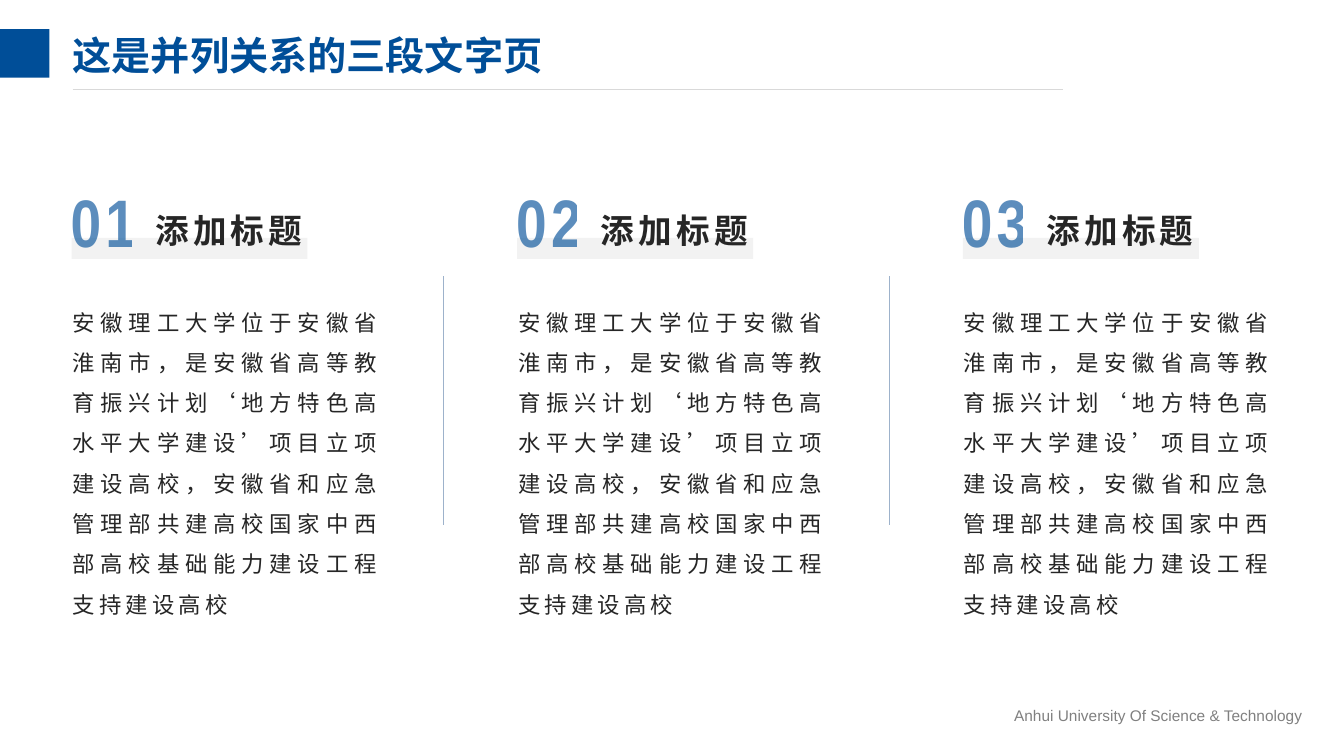
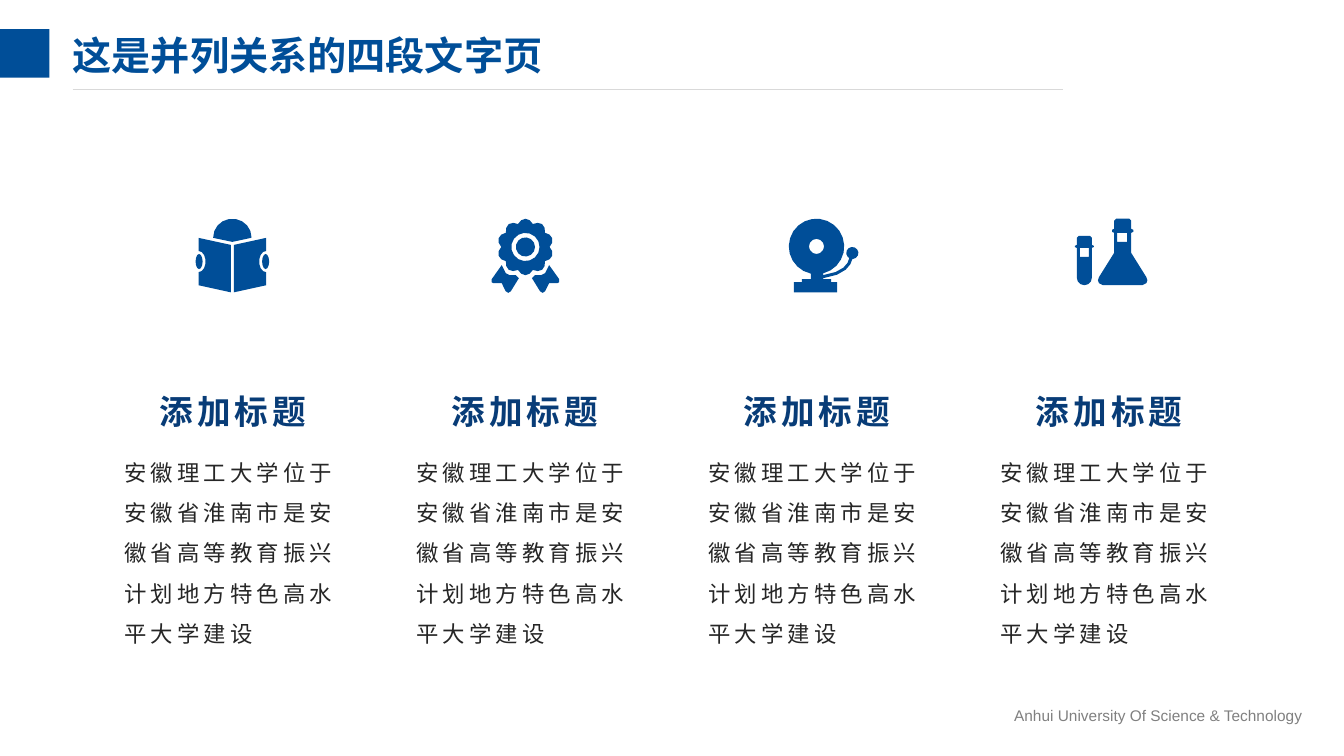
import math

import pptx
import pptx.dml.color
import pptx.enum.shapes
import pptx.enum.text
import pptx.oxml.ns
import pptx.util
from lxml import etree

Inches = pptx.util.Inches
PP = pptx.enum.text.PP_ALIGN
FIT = pptx.enum.text.MSO_AUTO_SIZE

BLUE, NAVY, INK, GREY = "004E98", "083C77", "262626", "808080"
RULE, DIVIDER, BAR = "D9D9D9", "9DB2CB", "F2F2F2"
CJK = "Noto Sans CJK SC"

# Text styles: font values, then letter spacing and opacity where used
TITLE = dict(name="Montserrat", size=28, bold=True, color=BLUE)
FOOTER = dict(name="Arial", size=11, color=GREY)
NUMBER = dict(name="Arial Narrow", size=48, bold=True, color=BLUE, spc=300, alpha=64)
HEADING = dict(name=CJK, size=24, bold=True, color=INK, spc=300)
BODY = dict(name=CJK, size=16, color=INK, spc=300)

HEADING_TEXT = "添加标题"
LONG_TEXT = ("安徽理工大学位于安徽省淮南市，是安徽省高等教育振兴计划‘地方特色高水平大学建设’"
             "项目立项建设高校，安徽省和应急管理部共建高校国家中西部高校基础能力建设工程支持建设高校")
SHORT_TEXT = "安徽理工大学位于安徽省淮南市是安徽省高等教育振兴计划地方特色高水平大学建设"


def rgb(value):
    return pptx.dml.color.RGBColor.from_string(value)


def box(x, y, w, h):
    return [Inches(v) for v in (x, y, w, h)]


def sub(parent, tag, **attrs):
    return etree.SubElement(parent, pptx.oxml.ns.qn(tag), **attrs)


def write(tf, text, style, **para):
    """Put one styled paragraph into a text frame."""
    p = tf.paragraphs[0]
    for name, value in para.items():
        setattr(p, name, value)
    r = p.add_run()
    r.text = text
    r.font.color.rgb = rgb(style["color"])
    for name in ("name", "bold"):
        setattr(r.font, name, style.get(name))
    r.font.size = pptx.util.Pt(style["size"])
    rpr = r._r.get_or_add_rPr()
    rpr.set("lang", "zh-CN")
    sub(rpr, "a:ea", typeface=CJK)
    if "spc" in style:
        rpr.set("spc", str(style["spc"]))
    if "alpha" in style:
        clr = rpr.find(".//" + pptx.oxml.ns.qn("a:srgbClr"))
        sub(clr, "a:alpha", val=str(style["alpha"] * 1000))


def no_insets(tf):
    for side in ("left", "top", "right", "bottom"):
        setattr(tf, "margin_" + side, 0)


def add_text(s, at, text, style, wrap=True, insets=False, **para):
    tf = s.shapes.add_textbox(*box(*at)).text_frame
    tf.word_wrap = wrap
    tf.auto_size = FIT.SHAPE_TO_FIT_TEXT
    if not insets:
        no_insets(tf)
    write(tf, text, style, **para)


def paint(sp, color):
    sp.shadow.inherit = False
    sp.fill.solid()
    sp.fill.fore_color.rgb = rgb(color)
    sp.line.fill.background()


def add_rect(s, at, color):
    paint(s.shapes.add_shape(pptx.enum.shapes.MSO_SHAPE.RECTANGLE, *box(*at)), color)


def add_line(s, x1, y1, x2, y2, color):
    line = s.shapes.add_connector(pptx.enum.shapes.MSO_CONNECTOR.STRAIGHT,
                                  *box(x1, y1, x2, y2))
    line.line.color.rgb = rgb(color)
    line.line.width = pptx.util.Pt(0.5)
    sub(line._element.spPr, "a:effectLst")


# Outlines, in hundredths of an inch from the top left of an icon
def arc(cx, cy, rx, ry, start=0, sweep=360):
    """Points along an arc: the larger it is, the more points."""
    n = math.ceil((8 + max(rx, ry) / 2) * abs(sweep) / 360)
    angles = [math.radians(start + sweep * i / n) for i in range(n + 1)]
    points = [(cx + rx * math.cos(a), cy + ry * math.sin(a)) for a in angles]
    return points[:-1] if abs(sweep) == 360 else points


def curve(*ctrl):
    n = 4
    weights = [((1 - t) ** 3, 3 * t * (1 - t) ** 2, 3 * t * t * (1 - t), t ** 3)
               for t in (i / n for i in range(n + 1))]
    return [tuple(sum(w * c[k] for w, c in zip(ws, ctrl)) for k in (0, 1))
            for ws in weights]


def window(x, y, w, h):
    return [(x, y), (x + w, y), (x + w, y + h), (x, y + h)]


def mirror(outline, width):
    return [(width - x, y) for x, y in outline]


def reader():
    head = arc(36.5, 18.5, 19, 18.5, 180, 180) + [(55, 19), (36.5, 23), (17.5, 19)]
    page = [(3, 19), (35, 26), (35, 73), (3, 66)] + arc(3, 42.5, 7, 10.5, 90, -180)
    hand = arc(3.5, 42.5, 3.5, 7.5)
    return [head, page, mirror(page, 73), hand, mirror(hand, 73)]


def medal():
    rosette = []
    for i in range(40):
        a = math.tau * i / 40
        radius = 24 + 4 * abs(math.cos(5 * (a + math.pi / 2)))
        rosette.append((33.5 + radius * math.cos(a), 28 + radius * math.sin(a)))
    ribbon = [(10, 46), (14, 54), (18, 56), (24, 56), (27, 59), (19, 72),
              (16.5, 73.5), (14, 72), (10, 64), (2, 64), (0, 63), (0, 60)]
    return [rosette, arc(33.5, 28, 14, 14), arc(33.5, 28, 9.5, 9.5),
            ribbon, mirror(ribbon, 67)]


def bell():
    gong = arc(27.5, 27.5, 27.5, 27.5, 76, -334)
    base = [(22, 60), (13, 60), (13, 63), (5, 63), (5, 73), (48, 73), (48, 63),
            (42, 63), (42, 60), (34, 60)]
    hammer = (curve((34, 59), (56, 56), (62, 46), (63, 40))
              + arc(63, 34, 6, 6, 85, -335)
              + curve((60, 39), (59, 45), (54, 53), (34, 56)))
    return [gong + base + hammer, arc(27.5, 27.5, 7.5, 7.5)]


def lab():
    flask = [(56, 34), (71, 58), (72, 61), (71, 64), (67, 66), (28, 66),
             (24, 64), (23, 61), (24, 58), (39, 34), (39, 14), (37, 13),
             (37, 11), (39, 10), (39, 2), (41, 0), (54, 0), (56, 2), (56, 10),
             (58, 11), (58, 13), (56, 14)]
    tube = ([(17, 26), (17, 19), (15, 17), (4, 17), (2, 19), (2, 26), (0, 27),
             (0, 28), (2, 29)] + arc(9.5, 58.5, 7.5, 7.5, 180, -180)
            + [(17, 29), (19, 28), (19, 27)])
    return [flask, window(42, 14, 10, 9), tube, window(5, 29, 9, 9)]


def add_icon(s, x, y, outlines):
    """Draw all outlines as one filled shape; inner ones become holes."""
    fine = [[(px * 10, py * 10) for px, py in o] for o in outlines]
    fb = s.shapes.build_freeform(*fine[0][0], scale=Inches(1) / 1000)
    for i, outline in enumerate(fine):
        if i:
            fb.move_to(*outline[0])
        fb.add_line_segments(outline[1:], close=True)
    paint(fb.convert_to_shape(Inches(x), Inches(y)), BLUE)


def titled_slide(prs, title):
    """Title-only slide with the shared band, rule and footer."""
    s = prs.slides.add_slide(prs.slide_layouts[5])
    add_text(s, (9.96, 6.96, 3.14, 0.29), "Anhui University Of Science & Technology",
             FOOTER, wrap=False, insets=True)
    add_rect(s, (-0.02, 0.29, 0.51, 0.48), BLUE)
    add_line(s, 0.72, 0.89, 10.54, 0.89, RULE)
    sp = s.shapes.title
    sp.left, sp.top, sp.width, sp.height = box(0.72, 0.21, 9.51, 0.73)
    tf = sp.text_frame
    no_insets(tf)
    tf.word_wrap = True
    tf.auto_size = FIT.NONE
    tf.vertical_anchor = pptx.enum.text.MSO_ANCHOR.MIDDLE
    write(tf, title, TITLE, alignment=PP.LEFT, line_spacing=0.9)
    return s


def numbered_column(s, x, y, number):
    """Number and heading on a bar, with justified text below."""
    add_text(s, (x, y + 1.14, 3.06, 3.19), LONG_TEXT, BODY,
             alignment=PP.JUSTIFY, line_spacing=1.5)
    add_rect(s, (x - 0.01, y + 0.57, 2.34, 0.21), BAR)
    add_text(s, (x - 0.02, y, 0.78, 0.81), f"{number:02}", NUMBER, wrap=False)
    add_text(s, (x + 0.82, y + 0.29, 1.51, 0.4), HEADING_TEXT, HEADING, wrap=False)


def icon_column(s, x, y, icon, indent):
    """Icon, heading and text from top to bottom."""
    add_icon(s, x + indent, y, icon())
    add_text(s, (x + 0.35, y + 1.71, 1.51, 0.4), HEADING_TEXT, {**HEADING, "color": NAVY})
    add_text(s, (x, y + 2.25, 2.18, 1.97), SHORT_TEXT, BODY, line_spacing=1.5)


def three_texts(prs):
    s = titled_slide(prs, "这是并列关系的三段文字页")
    left, top, pitch, count = 0.72, 1.79, 4.42, 3
    for i in range(count):
        x = left + i * pitch
        numbered_column(s, x, top, i + 1)
        if i < count - 1:
            add_line(s, x + 3.68, top + 0.95, x + 3.68, top + 3.42, DIVIDER)


def four_texts(prs):
    s = titled_slide(prs, "这是并列关系的四段文字页")
    icons = [(reader, 0.71), (medal, 0.75), (bell, 0.8), (lab, 0.74)]
    left, last = 1.23, 9.92
    pitch = (last - left) / (len(icons) - 1)
    for i, (icon, indent) in enumerate(icons):
        icon_column(s, left + i * pitch, 2.17, icon, indent)


def main():
    prs = pptx.Presentation()
    prs.slide_width, prs.slide_height = Inches(13.33), Inches(7.5)
    three_texts(prs)
    four_texts(prs)
    prs.save("out.pptx")


if __name__ == "__main__":
    main()
